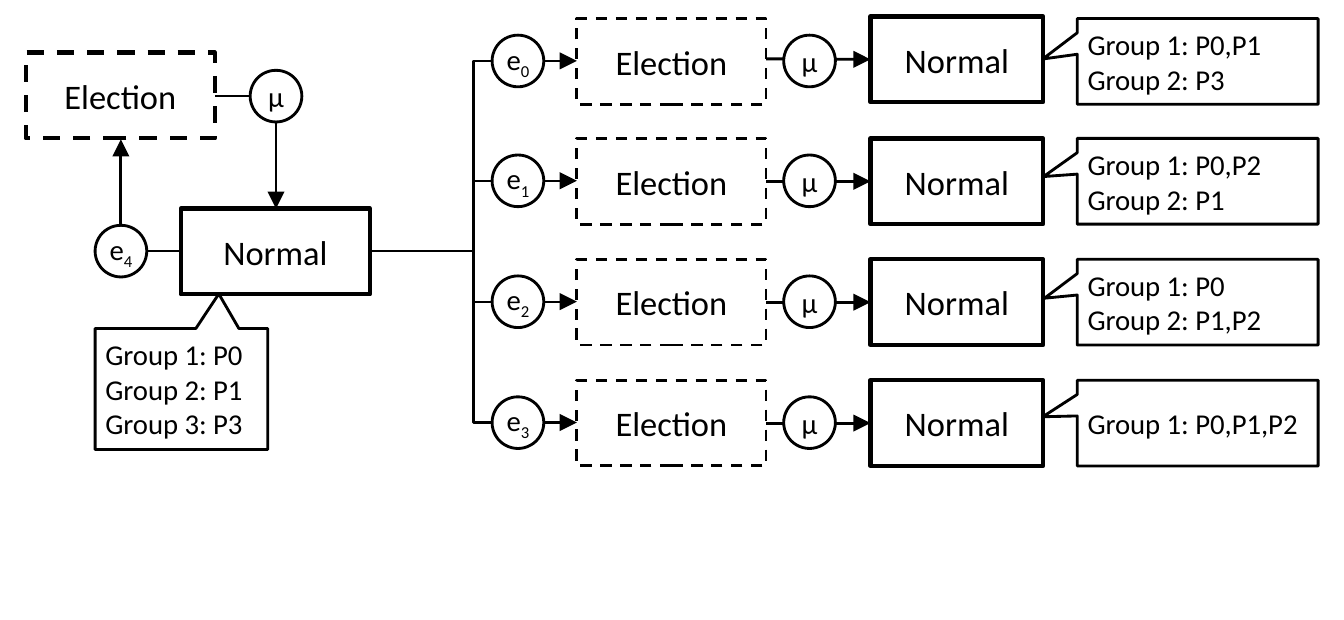
from dataclasses import dataclass

from pptx import Presentation
from pptx.dml.color import RGBColor
from pptx.enum.dml import MSO_LINE
from pptx.enum.shapes import MSO_CONNECTOR, MSO_SHAPE
from pptx.enum.text import MSO_ANCHOR, PP_ALIGN
from pptx.oxml.ns import qn
from pptx.util import Pt
from lxml.etree import SubElement

# Each branch: event index, group lines, callout tip, lift of its Normal box
BRANCHES = [
    ("0", ["Group 1: P0,P1", "Group 2: P3"], (-0.643, -0.028), 2),
    ("1", ["Group 1: P0,P2", "Group 2: P1"], (-0.64, -0.055), 0),
    ("2", ["Group 1: P0", "Group 2: P1,P2"], (-0.636, -0.046), 0),
    ("3", ["Group 1: P0,P1,P2"], (-0.643, -0.074), 0),
]
START = ["Group 1: P0", "Group 2: P1", "Group 3: P3"]
START_TIP = (0.217, -0.787)

PX = 4572  # 200 px to the inch
WIDTH, HEIGHT = 1300, 600
BOX_W, BOX_H, NORMAL_W, DOT = 183, 83, 167, 50
VOTE_X, DONE_X, NOTE_X, NOTE_W = 558, 842, 1042, 233
EVENT_X, MU_X = 501, 783  # circle centres
ROW_TOP, ROWS_SPAN = 18, 350  # three row steps make one span


@dataclass(frozen=True)
class Theme:
    ink: RGBColor = RGBColor(0, 0, 0)
    paper: RGBColor = RGBColor(255, 255, 255)
    font: str = "Calibri"
    large: int = 12
    small: int = 10
    thin: float = 0.75
    line: float = 1
    bold: float = 1.5


THEME = Theme()
deck = Presentation()
deck.slide_width, deck.slide_height = WIDTH * PX, HEIGHT * PX
slide = deck.slides.add_slide(deck.slide_layouts[6])


def add_run(para, text, size, sub=False):
    run = para.add_run()
    run.text = text
    run.font.size, run.font.name = Pt(size), THEME.font
    run.font.color.rgb = THEME.ink
    if sub:
        run.font._element.set("baseline", "-25000")


def add_shape(kind, x, y, w, h, weight):
    shape = slide.shapes.add_shape(kind, x * PX, y * PX, w * PX, h * PX)
    shape.shadow.inherit = False
    shape.fill.solid()
    shape.fill.fore_color.rgb = THEME.paper
    shape.line.color.rgb = THEME.ink
    shape.line.width = Pt(weight)
    shape.text_frame.vertical_anchor = MSO_ANCHOR.MIDDLE
    return shape


def set_inset(frame, inset):
    frame.margin_left = frame.margin_right = inset * PX
    frame.margin_top = frame.margin_bottom = inset * PX


def add_box(text, x, y, w, weight, dashed=False):
    box = add_shape(MSO_SHAPE.RECTANGLE, x, y, w, BOX_H, weight)
    if dashed:
        box.line.dash_style = MSO_LINE.DASH
    para = box.text_frame.paragraphs[0]
    para.alignment = PP_ALIGN.CENTER
    add_run(para, text, THEME.large)
    return box


def add_dot(text, x, y, sub=""):
    """Circle centred on x, y, with an optional subscript."""
    dot = add_shape(MSO_SHAPE.OVAL, x - DOT // 2, y - DOT // 2,
                    DOT, DOT, THEME.line)
    frame = dot.text_frame
    frame.word_wrap = False
    set_inset(frame, 0)
    para = frame.paragraphs[0]
    para.alignment = PP_ALIGN.CENTER
    add_run(para, text, THEME.small)
    if sub:
        add_run(para, sub, THEME.small, sub=True)


def add_note(lines, x, y, w, h, tip):
    note = add_shape(MSO_SHAPE.RECTANGULAR_CALLOUT, x, y, w, h, THEME.line)
    note.adjustments[0], note.adjustments[1] = tip
    frame = note.text_frame
    set_inset(frame, 10)
    for i, line in enumerate(lines):
        para = frame.add_paragraph() if i else frame.paragraphs[0]
        para.alignment = PP_ALIGN.LEFT
        add_run(para, line, THEME.small)


def add_arrow(kind, start, end, weight, corner=False):
    """Arrow from start to end; corner gives it one bend only."""
    points = [value * PX for value in (*start, *end)]
    arrow = slide.shapes.add_connector(kind, *points)
    arrow.line.color.rgb = THEME.ink
    arrow.line.width = Pt(weight)
    props = arrow._element.spPr
    SubElement(props.find(qn("a:ln")), qn("a:tailEnd"), type="triangle")
    SubElement(props, qn("a:effectLst"))
    if corner:
        props.find(qn("a:prstGeom")).set("prst", "bentConnector2")
    return arrow


def draw_cycle():
    add_box("Normal", 175, 202, BOX_W, THEME.bold)
    add_box("Election", 25, 51, BOX_W, THEME.bold, dashed=True)
    elbow = MSO_CONNECTOR.ELBOW
    add_arrow(elbow, (175, 243), (117, 135), THEME.line, corner=True)
    add_arrow(elbow, (208, 93), (267, 202), THEME.line, corner=True)
    add_dot("e", 117, 243, "4")
    add_dot("µ", 267, 93)
    add_note(START, 92, 318, 167, 117, START_TIP)


def draw_branch(row, index, groups, tip, lift):
    top = ROW_TOP + row * ROWS_SPAN // 3
    mid = top + BOX_H // 2
    vote = add_box("Election", VOTE_X, top, BOX_W, THEME.line, dashed=True)
    done = add_box("Normal", DONE_X, top - lift, NORMAL_W, THEME.bold)
    add_arrow(MSO_CONNECTOR.ELBOW, (358, 243), (VOTE_X, mid), THEME.thin)
    link = add_arrow(MSO_CONNECTOR.STRAIGHT, (VOTE_X + BOX_W, mid - lift),
                     (DONE_X, mid - lift), THEME.line)
    if not lift:
        link.begin_connect(vote, 3)
    link.end_connect(done, 1)
    add_dot("e", EVENT_X, mid, index)
    add_dot("µ", MU_X, mid)
    add_note(groups, NOTE_X, top, NOTE_W, BOX_H, tip)


draw_cycle()
for row, branch in enumerate(BRANCHES):
    draw_branch(row, *branch)
deck.save("out.pptx")
